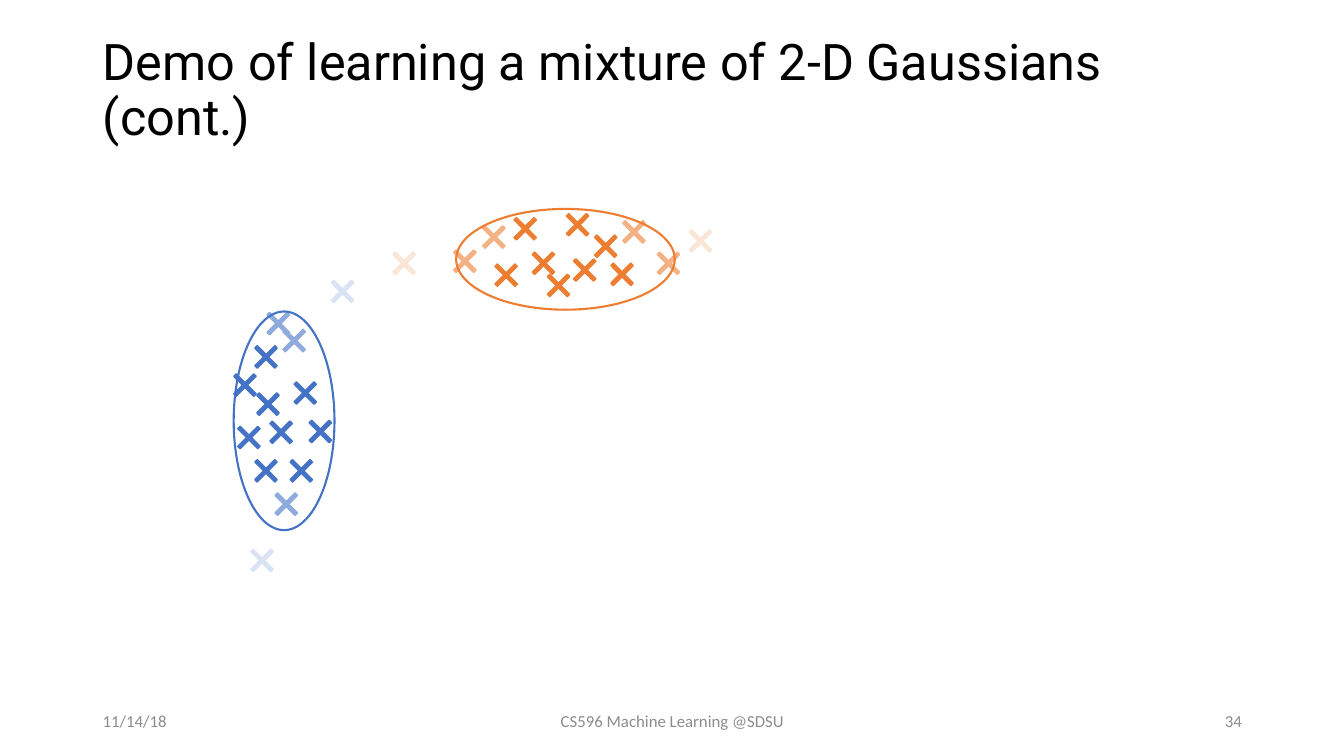
from typing import NamedTuple

from pptx import Presentation
from pptx import util as u
from pptx.dml.color import RGBColor
from pptx.enum import shapes, text

BLUE, MID_BLUE, PALE_BLUE = "4472C4", "8FAADC", "DAE3F3"
ORANGE, MID_ORANGE, PALE_ORANGE = "ED7D31", "F4B183", "FBE5D6"
CROSS_SIZE = 0.97
ELLIPSE_WIDTH, ELLIPSE_HEIGHT = 2.54, 5.51


class Point(NamedTuple):
    left: float
    top: float
    color: str


class Cluster(NamedTuple):
    points: list[Point]
    ellipse: Point
    rotation: int


class Footer(NamedTuple):
    words: str
    left: float
    width: float
    alignment: text.PP_ALIGN


CLUSTERS = [
    Cluster([
        Point(6.53, 7.67, MID_BLUE), Point(6.93, 8.1, MID_BLUE),
        Point(6.22, 8.51, BLUE), Point(7.21, 9.42, BLUE),
        Point(6.27, 9.7, BLUE), Point(5.69, 9.22, BLUE),
        Point(6.6, 10.41, BLUE), Point(5.79, 10.54, BLUE),
        Point(7.59, 10.39, BLUE), Point(6.22, 11.38, BLUE),
        Point(7.11, 11.38, BLUE), Point(6.73, 12.22, MID_BLUE),
    ], Point(5.89, 7.85, BLUE), 0),
    Cluster([
        Point(16.36, 6.15, MID_ORANGE), Point(15.19, 6.43, ORANGE),
        Point(14.78, 5.72, ORANGE), Point(13.59, 6.71, ORANGE),
        Point(14.25, 6.32, ORANGE), Point(14.07, 5.18, ORANGE),
        Point(13.21, 6.15, ORANGE), Point(12.75, 5.28, ORANGE),
        Point(15.49, 5.36, MID_ORANGE), Point(11.96, 5.49, MID_ORANGE),
        Point(12.27, 6.45, ORANGE), Point(11.23, 6.1, MID_ORANGE),
    ], Point(12.98, 3.78, ORANGE), 90),
]
OUTLIERS = [
    Point(8.15, 6.86, PALE_BLUE), Point(9.7, 6.15, PALE_ORANGE),
    Point(6.12, 13.64, PALE_BLUE), Point(17.17, 5.59, PALE_ORANGE),
]
FOOTERS = [
    Footer("11/14/18", 2.34, 7.62, text.PP_ALIGN.LEFT),
    Footer("CS596 Machine Learning @SDSU", 11.23, 11.43, text.PP_ALIGN.CENTER),
    Footer("34", 23.93, 7.62, text.PP_ALIGN.RIGHT),
]


def rgb(color: str) -> RGBColor:
    return RGBColor.from_string(color)


def add_cross(container, point: Point, rotation: int = 0) -> None:
    shape = container.add_shape(
        shapes.MSO_SHAPE.MATH_MULTIPLY, u.Cm(point.left), u.Cm(point.top),
        u.Cm(CROSS_SIZE), u.Cm(CROSS_SIZE))
    shape.adjustments[0] = 0.09
    shape.rotation = rotation
    shape.shadow.inherit = False
    shape.fill.solid()
    shape.fill.fore_color.rgb = rgb(point.color)
    shape.line.color.rgb = rgb(point.color)
    shape.line.width = u.Pt(1)


def add_ellipse(container, corner: Point, rotation: int) -> None:
    shape = container.add_shape(
        shapes.MSO_SHAPE.OVAL, u.Cm(corner.left), u.Cm(corner.top),
        u.Cm(ELLIPSE_WIDTH), u.Cm(ELLIPSE_HEIGHT))
    shape.rotation = rotation
    shape.shadow.inherit = False
    shape.fill.background()
    shape.line.color.rgb = rgb(corner.color)
    shape.line.width = u.Pt(1.5)


def write(shape, words: str, font_name: str, size: int, color: str,
          alignment: text.PP_ALIGN) -> None:
    frame = shape.text_frame
    frame.word_wrap = True
    frame.auto_size = text.MSO_AUTO_SIZE.NONE
    frame.vertical_anchor = text.MSO_ANCHOR.MIDDLE
    paragraph = frame.paragraphs[0]
    paragraph.alignment = alignment
    run = paragraph.add_run()
    run.text = words
    run.font.name = font_name
    run.font.size = u.Pt(size)
    run.font.color.rgb = rgb(color)


def add_title(slide, words: str) -> None:
    title = slide.shapes.title
    title.left, title.top = u.Cm(2.34), u.Cm(1.02)
    title.width, title.height = u.Cm(29.21), u.Cm(2.57)
    write(title, words, "Roboto", 36, "000000", text.PP_ALIGN.LEFT)
    title.text_frame.paragraphs[0].line_spacing = 0.9


def add_footer(slide, footer: Footer) -> None:
    box = slide.shapes.add_textbox(
        u.Cm(footer.left), u.Cm(17.65), u.Cm(footer.width), u.Cm(1.02))
    write(box, footer.words, "Calibri", 12, "8C8C8C", footer.alignment)


def main() -> None:
    presentation = Presentation()
    presentation.slide_width = u.Cm(33.87)
    presentation.slide_height = u.Cm(19.05)
    slide = presentation.slides.add_slide(presentation.slide_layouts[5])

    add_title(slide, "Demo of learning a mixture of 2-D Gaussians (cont.)")
    for footer in FOOTERS:
        add_footer(slide, footer)
    for cluster in CLUSTERS:
        group = slide.shapes.add_group_shape()
        for point in cluster.points:
            add_cross(group.shapes, point, cluster.rotation)
    for cluster in CLUSTERS:
        add_ellipse(slide.shapes, cluster.ellipse, cluster.rotation)
    for point in OUTLIERS:
        add_cross(slide.shapes, point)

    presentation.save("out.pptx")


if __name__ == "__main__":
    main()
